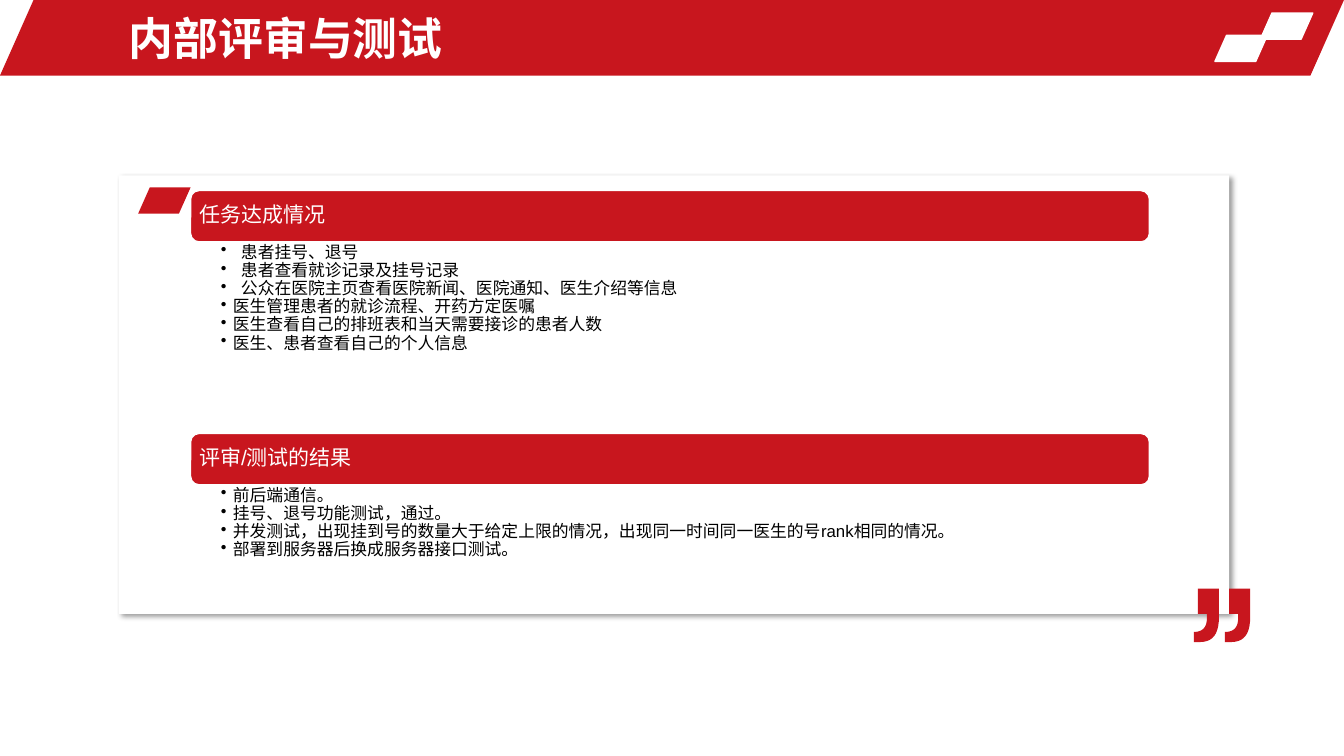
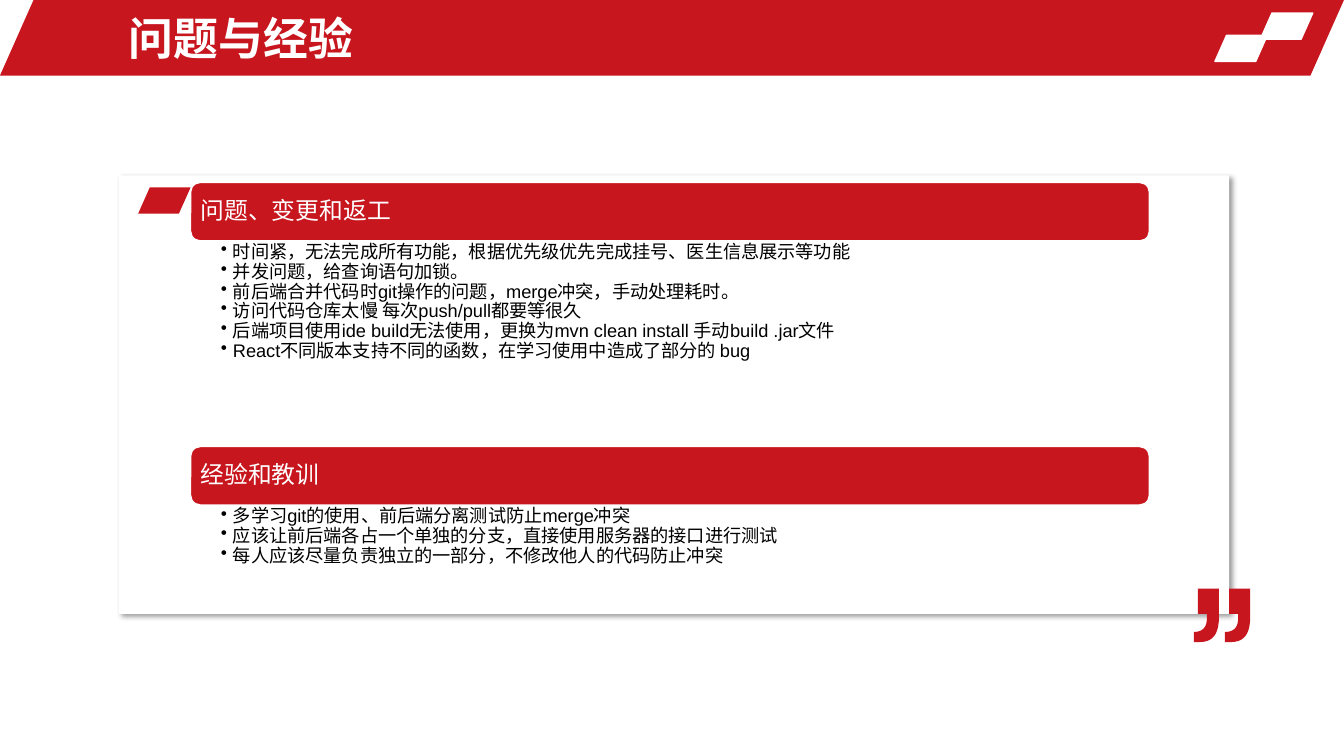
from lxml import etree
from pptx import Presentation
from pptx import util as u
from pptx.dml import color
from pptx.enum import shapes, text
from pptx.oxml import ns

Inches = u.Inches
COLORS = {"red": "C8161E", "white": "FFFFFF", "black": "000000"}
FONT = "Arial"
SLANT = 0.444
TILE = (0.52, 0.26)
COLUMN = (1.89, 9.51)

# Outline of one quotation mark, measured from its top right corner:
# two numbers are a corner, six are a Bézier curve
QUOTE_MARK = [
    (0, 0.28), (0, 0.45, -0.06, 0.53, -0.19, 0.53), (-0.25, 0.53),
    (-0.25, 0.43), (-0.16, 0.43, -0.12, 0.38, -0.12, 0.3),
    (-0.12, 0.25), (-0.21, 0.25), (-0.21, 0),
]


def outline(steps, count=10):
    """Flatten corners and curves into points, starting after (0, 0)."""
    points = [(0, 0)]
    for step in steps:
        if len(step) == 2:
            points.append(step)
            continue
        anchors = [points[-1], step[0:2], step[2:4], step[4:6]]
        for i in range(1, count + 1):
            t = i / count
            weights = ((1 - t) ** 3, 3 * t * (1 - t) ** 2, 3 * t * t * (1 - t), t ** 3)
            points.append(tuple(sum(w * a[axis] for w, a in zip(weights, anchors))
                                for axis in (0, 1)))
    return points[1:]


class Deck:
    def __init__(self):
        self.prs = Presentation()
        self.prs.slide_width, self.prs.slide_height = Inches(13.33), Inches(7.5)
        self.slide = None

    # Basic elements
    def paint(self, shape, fill, line=None):
        shape.fill.solid()
        shape.fill.fore_color.rgb = color.RGBColor.from_string(COLORS[fill])
        if line:
            shape.line.color.rgb = color.RGBColor.from_string(COLORS[line])
            shape.line.width = u.Pt(1)
        else:
            shape.line.fill.background()
        shape.shadow.inherit = False
        return shape

    def shape(self, kind, box, fill, line=None):
        preset = self.slide.shapes.add_shape(kind, *map(Inches, box))
        return self.paint(preset, fill, line)

    def slanted(self, left, top, fill, size=TILE, line=None):
        tile = self.shape(shapes.MSO_SHAPE.PARALLELOGRAM, (left, top, *size), fill, line)
        tile.adjustments[0] = SLANT

    def frame(self, shape, insets, anchor):
        frame = shape.text_frame
        frame.word_wrap = True
        frame.vertical_anchor = anchor
        (frame.margin_left, frame.margin_top,
         frame.margin_right, frame.margin_bottom) = map(Inches, insets)
        return frame

    def style(self, paragraph, size, tone, bold=False):
        paragraph.alignment = text.PP_ALIGN.LEFT
        font = paragraph.font
        font.name, font.size, font.bold = FONT, u.Pt(size), bold
        font.color.rgb = color.RGBColor.from_string(COLORS[tone])

    # Parts every slide shares
    def start(self, title):
        self.slide = self.prs.slides.add_slide(self.prs.slide_layouts[6])
        self.slanted(0, 0, "red", size=(13.33, 0.75))
        for left, top in ((12.5, 0.13), (12.05, 0.35)):
            self.slanted(left, top, "white", line="white")
        box = self.slide.shapes.add_textbox(*map(Inches, (1.18, 0.05, 7.74, 0.65)))
        frame = self.frame(box, (0.1, 0.05, 0.1, 0.05), text.MSO_ANCHOR.MIDDLE)
        frame.text = title
        self.style(frame.paragraphs[0], 32, "white", bold=True)

    def card(self):
        panel = self.shape(shapes.MSO_SHAPE.RECTANGLE, (1.18, 1.74, 11.01, 4.35), "white")
        effects = panel._element.spPr.find(ns.qn("a:effectLst"))
        shadow = etree.SubElement(effects, ns.qn("a:outerShdw"), blurRad=str(u.Pt(4)),
                                  dist=str(u.Pt(3)), dir="2700000", algn="tl",
                                  rotWithShape="0")
        tone = etree.SubElement(shadow, ns.qn("a:srgbClr"), val=COLORS["black"])
        etree.SubElement(tone, ns.qn("a:alpha"), val="40000")
        self.slanted(1.37, 1.86, "red")

    def quotes(self):
        builder = None
        for right in (12.4, 12.09):
            corner = (Inches(right), Inches(5.84))
            if builder is None:
                builder = self.slide.shapes.build_freeform(*corner)
            else:
                builder.move_to(*corner)
            builder.add_line_segments([(Inches(right + x), Inches(5.84 + y))
                                       for x, y in outline(QUOTE_MARK)])
        self.paint(builder.convert_to_shape(), "red")

    # Content sections
    def heading(self, label, top, height, size, inset):
        left, width = COLUMN
        bar = self.shape(shapes.MSO_SHAPE.ROUNDED_RECTANGLE,
                         (left, top, width, height), "red", "white")
        frame = self.frame(bar, [inset] * 4, text.MSO_ANCHOR.MIDDLE)
        frame.text = label
        frame.paragraphs[0].line_spacing = 0.9
        self.style(frame.paragraphs[0], size, "white")

    def bullets(self, items, top, height, size, wide):
        """List the items; the first `wide` of them have a deeper indent."""
        left, width = COLUMN
        box = self.slide.shapes.add_textbox(*map(Inches, (left, top, width, height)))
        frame = self.frame(box, (0.3, 0.02, 0.12, 0.02), text.MSO_ANCHOR.TOP)
        frame.text = "\n".join(items)
        for i, paragraph in enumerate(frame.paragraphs):
            indent = Inches(0.2 if i < wide else 0.12)
            paragraph.line_spacing = 0.9
            props = paragraph._p.get_or_add_pPr()
            props.set("marL", str(indent))
            props.set("indent", str(-indent))
            etree.SubElement(props, ns.qn("a:buChar"), char="•")
            self.style(paragraph, size, "black")

    def sections(self, parts, top, bar, heading_size, inset, body_size):
        for label, items, height, wide in parts:
            self.heading(label, top, bar, heading_size, inset)
            self.bullets(items, top + bar, height, body_size, wide)
            top += bar + height


# Heading, items, height of the list, number of items with a deeper indent
REVIEW = [
    ("任务达成情况", [
        "患者挂号、退号",
        "患者查看就诊记录及挂号记录",
        "公众在医院主页查看医院新闻、医院通知、医生介绍等信息",
        "医生管理患者的就诊流程、开药方定医嘱",
        "医生查看自己的排班表和当天需要接诊的患者人数",
        "医生、患者查看自己的个人信息",
    ], 1.9, 3),
    ("评审/测试的结果", [
        "前后端通信。",
        "挂号、退号功能测试，通过。",
        "并发测试，出现挂到号的数量大于给定上限的情况，出现同一时间同一医生的号rank相同的情况。",
        "部署到服务器后换成服务器接口测试。",
    ], 1.26, 0),
]
LESSONS = [
    ("问题、变更和返工", [
        "时间紧，无法完成所有功能，根据优先级优先完成挂号、医生信息展示等功能",
        "并发问题，给查询语句加锁。",
        "前后端合并代码时git操作的问题，merge冲突，手动处理耗时。",
        "访问代码仓库太慢 每次push/pull都要等很久",
        "后端项目使用ide build无法使用，更换为mvn clean install 手动build .jar文件",
        "React不同版本支持不同的函数，在学习使用中造成了部分的 bug",
    ], 2.04, 0),
    ("经验和教训", [
        "多学习git的使用、前后端分离测试防止merge冲突",
        "应该让前后端各占一个单独的分支，直接使用服务器的接口进行测试",
        "每人应该尽量负责独立的一部分，不修改他人的代码防止冲突",
    ], 1.02, 0),
]


def main():
    deck = Deck()
    # Title, sections, then top, bar height, heading size, inset and list size
    for title, parts, layout in (
        ("内部评审与测试", REVIEW, (1.89, 0.51, 15, 0.06, 12)),
        ("问题与经验", LESSONS, (1.81, 0.58, 17, 0.07, 13)),
    ):
        deck.start(title)
        deck.card()
        deck.sections(parts, *layout)
        deck.quotes()
    deck.prs.save("out.pptx")


if __name__ == "__main__":
    main()
